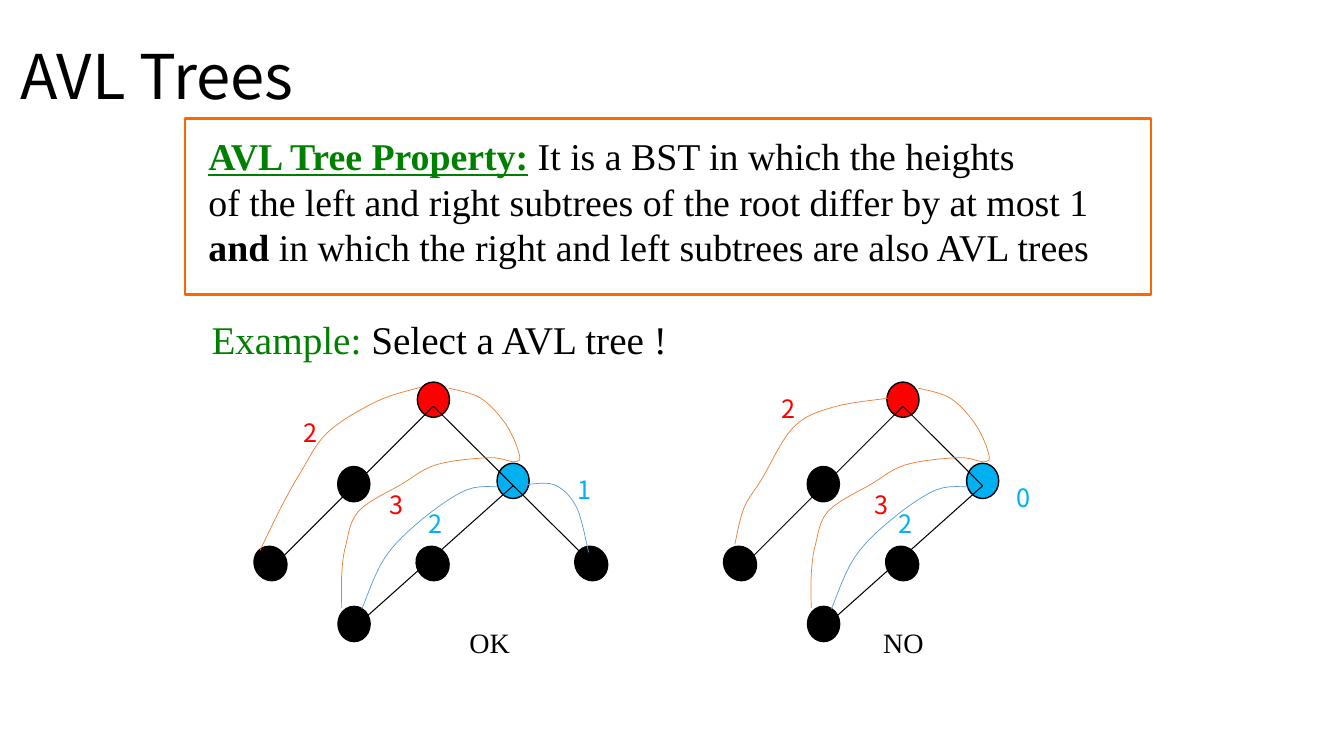
"""Build a slide on the AVL tree property with a valid and an invalid example."""
from lxml import etree
from pptx import Presentation
from pptx.dml.color import RGBColor
from pptx.enum.shapes import MSO_CONNECTOR, MSO_SHAPE
from pptx.enum.text import MSO_ANCHOR, PP_ALIGN
from pptx.oxml.ns import qn
from pptx.util import Pt

RECTANGLE, OVAL = MSO_SHAPE.RECTANGLE, MSO_SHAPE.OVAL
STRAIGHT = MSO_CONNECTOR.STRAIGHT
LEFT, CENTER = PP_ALIGN.LEFT, PP_ALIGN.CENTER
MIDDLE = MSO_ANCHOR.MIDDLE
SERIF, SANS = "Times New Roman", "Noto Sans CJK KR"
BLACK, RED, SKY, GREEN = "000000", "FF0000", "00B0F0", "008000"
ORANGE, BLUE, FRAME = "ED7D31", "5B9BD5", "FF6600"


def rgb(value):
    return RGBColor.from_string(value)


def add_text(left, top, width, height, lines, size, font=SERIF, align=LEFT):
    box = slide.shapes.add_textbox(Pt(left), Pt(top), Pt(width), Pt(height))
    frame = box.text_frame
    frame.word_wrap = align == LEFT
    for index, line in enumerate(lines):
        paragraph = frame.paragraphs[0] if index == 0 else frame.add_paragraph()
        paragraph.alignment = align
        paragraph.font.size, paragraph.font.name = Pt(size), font
        for words, color, emphasis in line:
            run = paragraph.add_run()
            run.text = words
            run.font.color.rgb = rgb(color)
            if emphasis:
                run.font.bold = True
                run.font.underline = "u" in emphasis


prs = Presentation()
prs.slide_width, prs.slide_height = Pt(960), Pt(540)
slide = prs.slides.add_slide(prs.slide_layouts[5])

title = slide.shapes.title
title.left, title.top, title.width, title.height = Pt(7.2), Pt(4.3), Pt(828), Pt(104.4)
title.text_frame.text = "AVL Trees"
title.text_frame.vertical_anchor = MIDDLE
heading = title.text_frame.paragraphs[0]
heading.alignment, heading.line_spacing = LEFT, 0.9
heading.font.size, heading.font.name = Pt(44), SANS
heading.font.color.rgb = rgb(BLACK)

add_text(141.8, 91.4, 655, 105, [
    [("AVL Tree Property:", GREEN, "bu"), (" It is a BST in which the heights", BLACK, "")],
    [("of the left and right subtrees of the root differ by at most 1", BLACK, "")],
    [("and", BLACK, "b"), (" in which the right and left subtrees are also AVL trees", BLACK, "")],
], 27)

property_frame = slide.shapes.add_shape(RECTANGLE, Pt(132), Pt(84.5), Pt(690), Pt(126))
property_frame.shadow.inherit = False
property_frame.fill.background()
property_frame.line.color.rgb = rgb(FRAME)
property_frame.line.width = Pt(1.75)

add_text(144, 221.8, 346.3, 41,
         [[("Example: ", GREEN, ""), ("Select a AVL tree !", BLACK, "")]], 28)

ROOT_Y = 285.5
NODE_WIDTH, NODE_HEIGHT, LEAF_TILT = 23, 25.2, 58.8
CURVE_STEPS = 6

# Every position below is measured from the centre of the tree's root.
NODES = {
    "right child": (56.9, 58, SKY, 0),
    "inner": (-0.6, 117, BLACK, LEAF_TILT),
    "root": (0, 0, RED, 0),
    "left child": (-56.9, 60.3, BLACK, 0),
    "left leaf": (-116.4, 117, BLACK, LEAF_TILT),
    "deepest": (-56.7, 160.2, BLACK, 0),
    "right leaf": (112.7, 117, BLACK, LEAF_TILT),
}
JOINTS = {
    "root": (0, 4.7), "right child": (56.9, 61.5), "deepest": (-50.4, 157.3),
    "left leaf": (-113, 117.7), "right leaf": (113.8, 117.7),
}
SHARED_EDGES = [("left leaf", "root"), ("right child", "deepest")]

ROOT_TO_DEEPEST = [
    (10.8, -8.3), (33.8, -1.1), (51.8, 17.6), (61.2, 38.5), (58.3, 44.3), (39.6, 41.4),
    (2.2, 46.4), (-22.3, 60.1), (-53.3, 79.5), (-62.6, 104), (-65.5, 125), (-65.5, 148.7),
]
CHILD_TO_DEEPEST = [(48.2, 62.3), (23.8, 64.4), (-7.9, 85.3), (-34.6, 112.7), (-51.1, 149.4)]
CHILD_TO_RIGHT_LEAF = [(64.8, 60.8), (86.4, 60.8), (102.2, 76.7), (110.9, 109.1)]
ROOT_TO_LEFT_LEAF_HIGH = [
    (-8.6, -9), (-40.3, 1.1), (-75.6, 23.4), (-95, 52.2), (-108.7, 76.7), (-123.8, 107.6),
]
ROOT_TO_LEFT_LEAF_LOW = [
    (-10.7, -1.1), (-50.3, 5.4), (-78.4, 19.8), (-100.7, 56.5), (-113.6, 77.4), (-120.1, 103.3),
]

TREES = [
    {"root x": 309.6, "verdict": ("OK", 18.5), "missing": [],
     "edges": SHARED_EDGES + [("root", "right leaf")],
     "curves": [(ROOT_TO_LEFT_LEAF_HIGH, ORANGE), (ROOT_TO_DEEPEST, ORANGE),
                (CHILD_TO_DEEPEST, BLUE), (CHILD_TO_RIGHT_LEAF, BLUE)],
     "heights": [("2", -100.1, 9, RED), ("3", -38.9, 60.1, RED),
                 ("2", -10.4, 74.2, SKY), ("1", 95.8, 50, SKY)]},
    {"root x": 645, "verdict": ("NO", -21.3), "missing": ["right leaf"],
     "edges": SHARED_EDGES + [("root", "right child")],
     "curves": [(ROOT_TO_LEFT_LEAF_LOW, ORANGE), (ROOT_TO_DEEPEST, ORANGE),
                (CHILD_TO_DEEPEST, BLUE)],
     "heights": [("2", -94.2, -8.3, RED), ("3", -27.9, 60.1, RED),
                 ("2", -10.6, 74, SKY), ("0", 73.7, 55.8, SKY)]},
]

for tree in TREES:
    root_x = tree["root x"]
    for name, (x, y, color, tilt) in NODES.items():
        if name in tree["missing"]:
            continue
        width, height = (NODE_HEIGHT, NODE_WIDTH) if tilt else (NODE_WIDTH, NODE_HEIGHT)
        node = slide.shapes.add_shape(OVAL, Pt(root_x + x - width / 2),
                                      Pt(ROOT_Y + y - height / 2), Pt(width), Pt(height))
        node.rotation = tilt
        node.shadow.inherit = False
        node.fill.solid()
        node.fill.fore_color.rgb = rgb(color)
        node.line.color.rgb = rgb(BLACK)
        node.line.width = Pt(1)

    for upper, lower in tree["edges"]:
        (x1, y1), (x2, y2) = JOINTS[upper], JOINTS[lower]
        edge = slide.shapes.add_connector(STRAIGHT, Pt(root_x + x1), Pt(ROOT_Y + y1),
                                          Pt(root_x + x2), Pt(ROOT_Y + y2))
        edge.line.color.rgb = rgb(BLACK)
        edge.line.width = Pt(0.75)
        etree.SubElement(edge._element.spPr, qn("a:effectLst"))

    for anchors, color in tree["curves"]:
        padded = [anchors[0], *anchors, anchors[-1]]
        smooth = [anchors[0]]
        for before, start, end, after in zip(padded, padded[1:], padded[2:], padded[3:]):
            for step in range(1, CURVE_STEPS + 1):
                t = step / CURVE_STEPS
                smooth.append([
                    b + ((c - a) * t + (2 * a - 5 * b + 4 * c - d) * t ** 2
                         + (3 * b - a - 3 * c + d) * t ** 3) / 2
                    for a, b, c, d in zip(before, start, end, after)])
        first, *rest = [(Pt(root_x + x), Pt(ROOT_Y + y)) for x, y in smooth]
        builder = slide.shapes.build_freeform(*first)
        builder.add_line_segments(rest, close=False)
        height_curve = builder.convert_to_shape()
        height_curve.shadow.inherit = False
        height_curve.fill.background()
        height_curve.line.color.rgb = rgb(color)
        height_curve.line.width = Pt(0.5)

    for number, x, y, color in tree["heights"]:
        add_text(root_x + x, ROOT_Y + y, 24.5, 29, [[(number, color, "")]], 18, SANS, CENTER)

    verdict, x = tree["verdict"]
    add_text(root_x + x, ROOT_Y + 158, 43.2, 31, [[(verdict, BLACK, "")]], 20, SERIF, CENTER)

prs.save("out.pptx")
